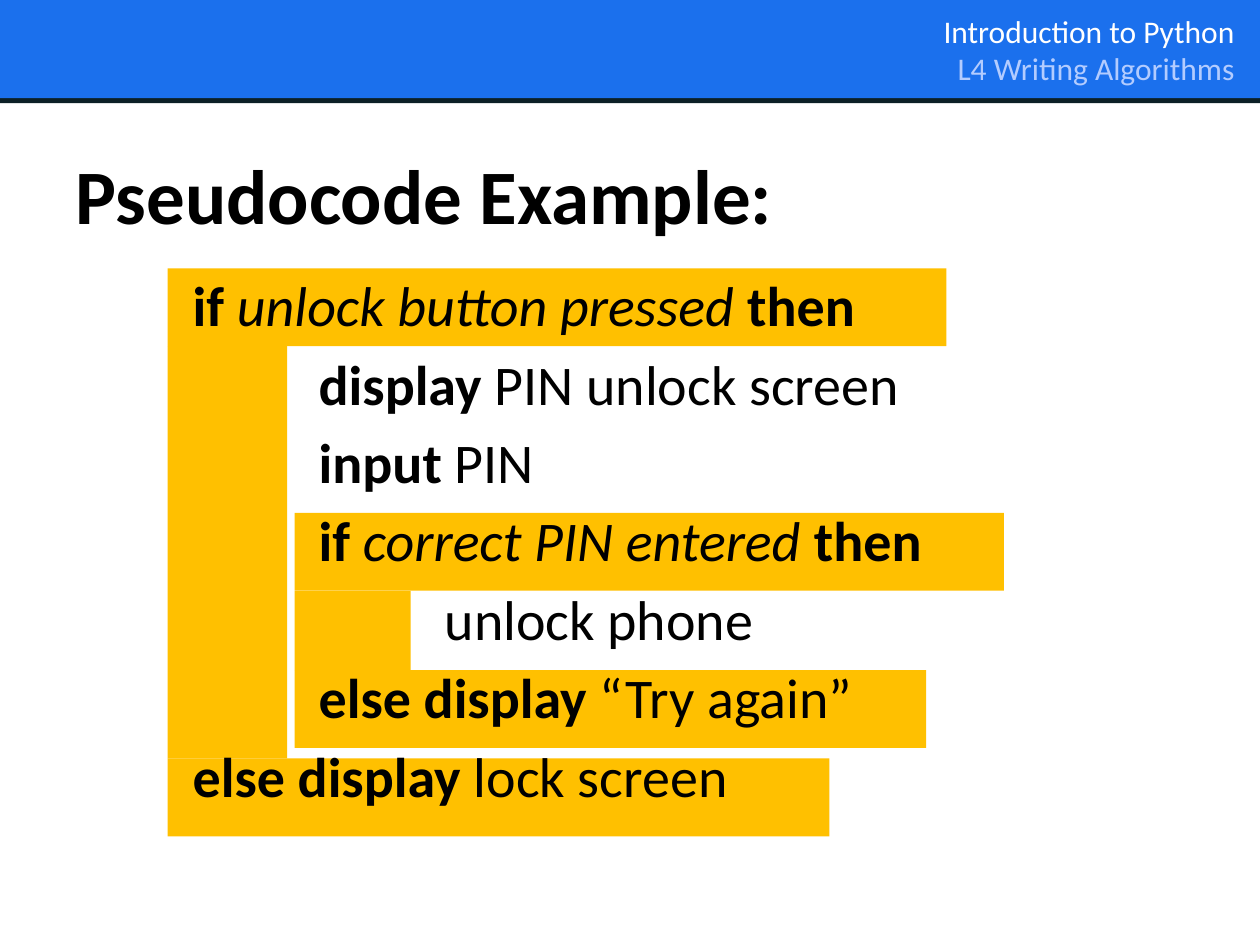
from pptx import Presentation
from pptx.dml.color import RGBColor as Rgb
from pptx.enum.shapes import MSO_SHAPE as Shape
from pptx.enum.text import MSO_ANCHOR as Anchor, MSO_AUTO_SIZE as Fit, PP_ALIGN as Align
from pptx.oxml.xmlchemy import OxmlElement as Node
from pptx.util import Cm, Pt

HUES = {"blue": "1B70ED", "dark": "0C2026", "gold": "FFC000",
        "white": "FFFFFF", "pale": "B3CCFF", "black": "000000"}
BOLD, SLANT, PLAIN = {"bold": True}, {"italic": True}, {}
CODE = [
    (0, [("if ", BOLD), ("unlock button pressed ", SLANT), ("then", BOLD)]),
    (1, [("display", BOLD), (" PIN unlock screen", PLAIN)]),
    (1, [("input", BOLD), (" PIN", PLAIN)]),
    (1, [("if ", BOLD), ("correct PIN entered ", SLANT), ("then", BOLD)]),
    (2, [("unlock phone", PLAIN)]),
    (1, [("else display", BOLD), (" “Try again”", PLAIN)]),
    (0, [("else display", BOLD), (" lock screen", PLAIN)]),
]


def place(shape, box):
    """Move and size a shape to a box in centimetres."""
    for name, val in zip(("left", "top", "width", "height"), box):
        setattr(shape, name, Cm(val))


def band(shapes, box, hue):
    """Add a plain filled rectangle."""
    rect = shapes.add_shape(Shape.RECTANGLE, *map(Cm, box))
    rect.shadow.inherit = False
    rect.fill.solid()
    rect.fill.fore_color.rgb = Rgb.from_string(HUES[hue])
    rect.line.fill.background()


def write(para, text, size, hue, style=PLAIN):
    """Add one formatted run to a paragraph."""
    run = para.add_run()
    run.text = text
    form = {"name": "Calibri", "size": Pt(size), "bold": False, "italic": False}
    for name, val in {**form, **style}.items():
        setattr(run.font, name, val)
    run.font.color.rgb = Rgb.from_string(HUES[hue])


def header(slide, box):
    """Draw the course banner with its two lines of text."""
    x, y, wide, high = box
    band(slide.shapes, (x, y + high - 0.3, wide, 0.3), "dark")
    band(slide.shapes, (x, y, wide, high - 0.1), "blue")
    label = slide.shapes.add_textbox(*map(Cm, (x + 12.87, y + 0.11, 12.47, 1.75)))
    frame = label.text_frame
    frame.word_wrap = True
    para = frame.paragraphs[0]
    para.alignment = Align.RIGHT
    write(para, "Introduction to Python", 18, "white")
    para.add_line_break()
    write(para, "L4 Writing Algorithms", 18, "pale")


def branch(shapes, box, foot, bar):
    """Mark one if-else block: head row, side bar and foot row."""
    x, y, head, high = box
    row = 1.57
    band(shapes, (x, y, head, row), "gold")
    band(shapes, (x, y + high - row, foot, row), "gold")
    band(shapes, (x, y + row, bar, high - 2 * row), "gold")


def marks(slide, box):
    """Highlight the outer and the nested block as one group."""
    x, y, wide, high = box
    group = slide.shapes.add_group_shape()
    branch(group.shapes, (x + 2.56, y + 4.93, 14.3, 4.74), 12.73, 2.34)
    branch(group.shapes, (x, y, wide, high), 13.34, 2.41)


def title(slide, box):
    """Fill the title placeholder."""
    head = slide.shapes.title
    place(head, box)
    para = head.text_frame.paragraphs[0]
    para.alignment = Align.LEFT
    write(para, "Pseudocode Example:", 44, "black", BOLD)


def code(slide, box):
    """Fill the body placeholder with indented pseudocode."""
    body = slide.placeholders[1]
    place(body, box)
    frame = body.text_frame
    for name, val in {"auto_size": Fit.NONE, "vertical_anchor": Anchor.TOP}.items():
        setattr(frame, name, val)
    for num, (level, runs) in enumerate(CODE):
        para = frame.add_paragraph() if num else frame.paragraphs[0]
        for text, style in runs:
            write(para, text, 32, "black", style)
        props = para._p.get_or_add_pPr()
        props.set("marL", str(Cm(2.54 * level)))
        props.set("indent", "0")
        props.append(Node("a:buNone"))


def main():
    """Build and save the slide."""
    deck = Presentation()
    deck.slide_width, deck.slide_height = Cm(25.4), Cm(19.05)
    slide = deck.slides.add_slide(deck.slide_layouts[1])
    header(slide, (-0.2, 0, 25.7, 2.08))
    marks(slide, (3.38, 5.41, 15.7, 11.45))
    title(slide, (1.27, 2.67, 22.86, 2.46))
    code(slide, (3.63, 5.33, 22.86, 11.58))
    for hold in list(slide.placeholders):
        hold.element.getparent().append(hold.element)
    deck.save("out.pptx")


if __name__ == "__main__":
    main()
